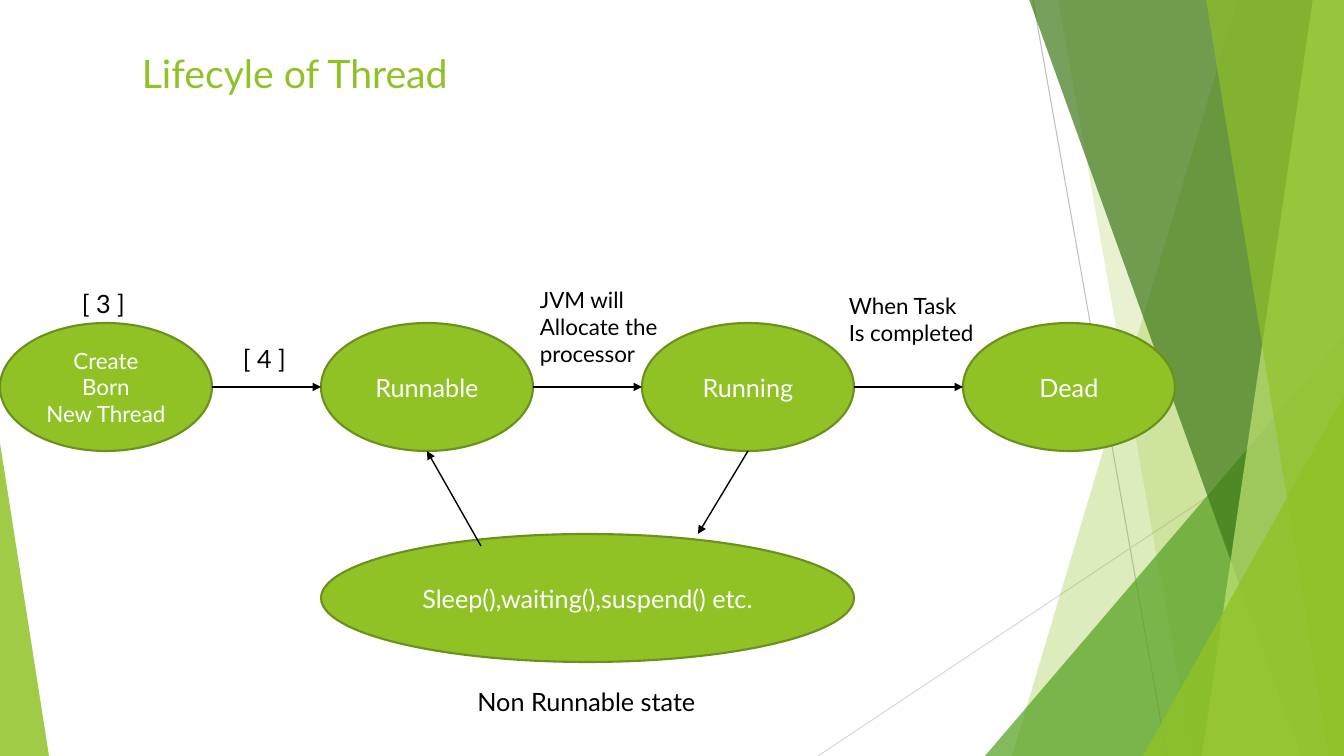
from dataclasses import dataclass
from typing import Optional

from lxml import etree
from pptx import Presentation, util as u
from pptx.dml.color import RGBColor
from pptx.enum import shapes, text
from pptx.oxml.ns import qn

SCALE = 914400 / 100.8  # EMU in one px
WIDTH, HEIGHT = 1344, 756
FONT = "Lato"
GREEN, DARK_GREEN, BLACK, WHITE = "90C226", "6B901C", "000000", "FFFFFF"

STATE_WIDTH, STATE_HEIGHT = 212, 128
STATE_TOP, STATE_PITCH = 323, 321


@dataclass
class Facet:
    """A decorative panel reaching from a slanted edge to the right border."""
    top_x: int
    bottom_x: int
    fill: str
    opacity: int


@dataclass
class Corner:
    """A right triangle standing on the bottom border."""
    left: int
    top: int
    width: int
    apex: int
    fill: str
    opacity: int


@dataclass
class State:
    label: str
    left: int
    top: int = STATE_TOP
    width: int = STATE_WIDTH
    size: int = 18


@dataclass
class Line:
    x1: int
    y1: int
    x2: int
    y2: int
    color: str = BLACK
    weight: float = 1
    arrow: bool = True


@dataclass
class Label:
    words: str
    left: int
    top: int
    width: int
    height: int
    size: int = 18
    color: str = BLACK
    centred: bool = False


def px(length: float) -> int:
    return round(length * SCALE)


def paint(target, color: str, opacity: int = 100) -> None:
    """Give a fill a solid colour and, if asked, some transparency."""
    target.solid()
    target.fore_color.rgb = RGBColor.from_string(color)
    if opacity < 100:
        tint = target._xPr.find(qn("a:solidFill"))[0]
        etree.SubElement(tint, qn("a:alpha"), val=str(opacity * 1000))


def write(shape, words: str, *, size: int, color: str, centred: bool = False,
          anchor=text.MSO_ANCHOR.TOP) -> None:
    frame = shape.text_frame
    frame.word_wrap = True
    frame.vertical_anchor = anchor
    frame.text = words
    for para in frame.paragraphs:
        para.alignment = text.PP_ALIGN.CENTER if centred else text.PP_ALIGN.LEFT
        for span in para.runs:
            span.font.name = FONT
            span.font.size = u.Pt(size)
            span.font.color.rgb = RGBColor.from_string(color)


def style(shape, fill: str, opacity: int = 100, outline: Optional[str] = None) -> None:
    shape.shadow.inherit = False
    paint(shape.fill, fill, opacity)
    if outline:
        paint(shape.line.fill, outline)
        shape.line.width = u.Pt(1.5)
    else:
        shape.line.fill.background()


def draw_line(page, line: Line) -> None:
    connector = page.shapes.add_connector(
        shapes.MSO_CONNECTOR.STRAIGHT,
        px(line.x1), px(line.y1), px(line.x2), px(line.y2))
    paint(connector.line.fill, line.color)
    connector.line.width = u.Pt(line.weight)
    properties = connector._element.spPr
    if line.arrow:
        etree.SubElement(properties.find(qn("a:ln")), qn("a:tailEnd"), type="triangle")
    etree.SubElement(properties, qn("a:effectLst"))


def draw_facet(page, facet: Facet) -> None:
    builder = page.shapes.build_freeform(facet.top_x, -1, scale=SCALE)
    builder.add_line_segments(
        [(WIDTH, -1), (WIDTH, HEIGHT), (facet.bottom_x, HEIGHT)], close=True)
    style(builder.convert_to_shape(), facet.fill, facet.opacity)


def draw_corner(page, corner: Corner) -> None:
    triangle = page.shapes.add_shape(
        shapes.MSO_SHAPE.ISOSCELES_TRIANGLE, px(corner.left), px(corner.top),
        px(corner.width), px(HEIGHT - corner.top))
    triangle.adjustments[0] = corner.apex
    style(triangle, corner.fill, corner.opacity)


def draw_state(page, state: State) -> None:
    ellipse = page.shapes.add_shape(
        shapes.MSO_SHAPE.OVAL, px(state.left), px(state.top),
        px(state.width), px(STATE_HEIGHT))
    style(ellipse, GREEN, outline=DARK_GREEN)
    write(ellipse, state.label, size=state.size, color=WHITE, centred=True,
          anchor=text.MSO_ANCHOR.MIDDLE)


def draw_label(page, label: Label) -> None:
    box = page.shapes.add_textbox(
        px(label.left), px(label.top), px(label.width), px(label.height))
    write(box, label.words, size=label.size, color=label.color, centred=label.centred)


# Background, from back to front
BACKGROUND = [
    Line(1033, 0, 1167, HEIGHT, "BFBFBF", 0.75, arrow=False),
    Line(WIDTH, 406, 818, HEIGHT, "D9D9D9", 0.75, arrow=False),
    Facet(1238, 1012, GREEN, 30),
    Facet(1058, 1192, GREEN, 20),
    Corner(985, 336, 359, 1, "54A021", 72),
    Facet(1029, 1301, "3F7819", 70),
    Facet(1313, 1202, "C0E474", 70),
    Facet(1206, 1329, GREEN, 65),
    Corner(1143, 396, 201, 1, GREEN, 80),
    Corner(0, 443, 49, 0, GREEN, 85),
]

# Thread states: one row, and the waiting state below
ROW = [("Create\nBorn\nNew Thread", 16), ("Runnable", 18), ("Running", 18), ("Dead", 18)]
STATES = [State(name, i * STATE_PITCH, size=size) for i, (name, size) in enumerate(ROW)]
WAITING = State("Sleep(),waiting(),suspend() etc.", STATE_PITCH, 534,
                STATE_PITCH + STATE_WIDTH)

# Transitions along the row, then down to the waiting state and back
ROW_MIDDLE = STATE_TOP + STATE_HEIGHT // 2
ROW_BOTTOM = STATE_TOP + STATE_HEIGHT
TRANSITIONS = [
    Line(before.left + STATE_WIDTH, ROW_MIDDLE, after.left, ROW_MIDDLE)
    for before, after in zip(STATES, STATES[1:])
] + [
    Line(STATES[2].left + STATE_WIDTH // 2, ROW_BOTTOM, 698, WAITING.top),
    Line(481, 546, STATES[1].left + STATE_WIDTH // 2, ROW_BOTTOM),
]

LABELS = [
    Label("Lifecyle of Thread", 132, 44, 983, 141, 28, GREEN),
    Label("JVM will\vAllocate the processor", 530, 281, 185, 92, 16),
    Label("When Task\vIs completed", 839, 287, 148, 92, 16),
    Label("[ 4 ]", 233, 338, 68, 40),
    Label("[ 3 ]", 72, 283, 68, 40),
    Label("Non Runnable state", 403, 681, 367, 40, centred=True),
]

DRAWERS = {Line: draw_line, Facet: draw_facet, Corner: draw_corner,
           State: draw_state, Label: draw_label}


def main() -> None:
    deck = Presentation()
    deck.slide_width, deck.slide_height = px(WIDTH), px(HEIGHT)
    page = deck.slides.add_slide(deck.slide_layouts[6])
    for part in [*BACKGROUND, *STATES, WAITING, *TRANSITIONS, *LABELS]:
        DRAWERS[type(part)](page, part)
    deck.save("out.pptx")


if __name__ == "__main__":
    main()
